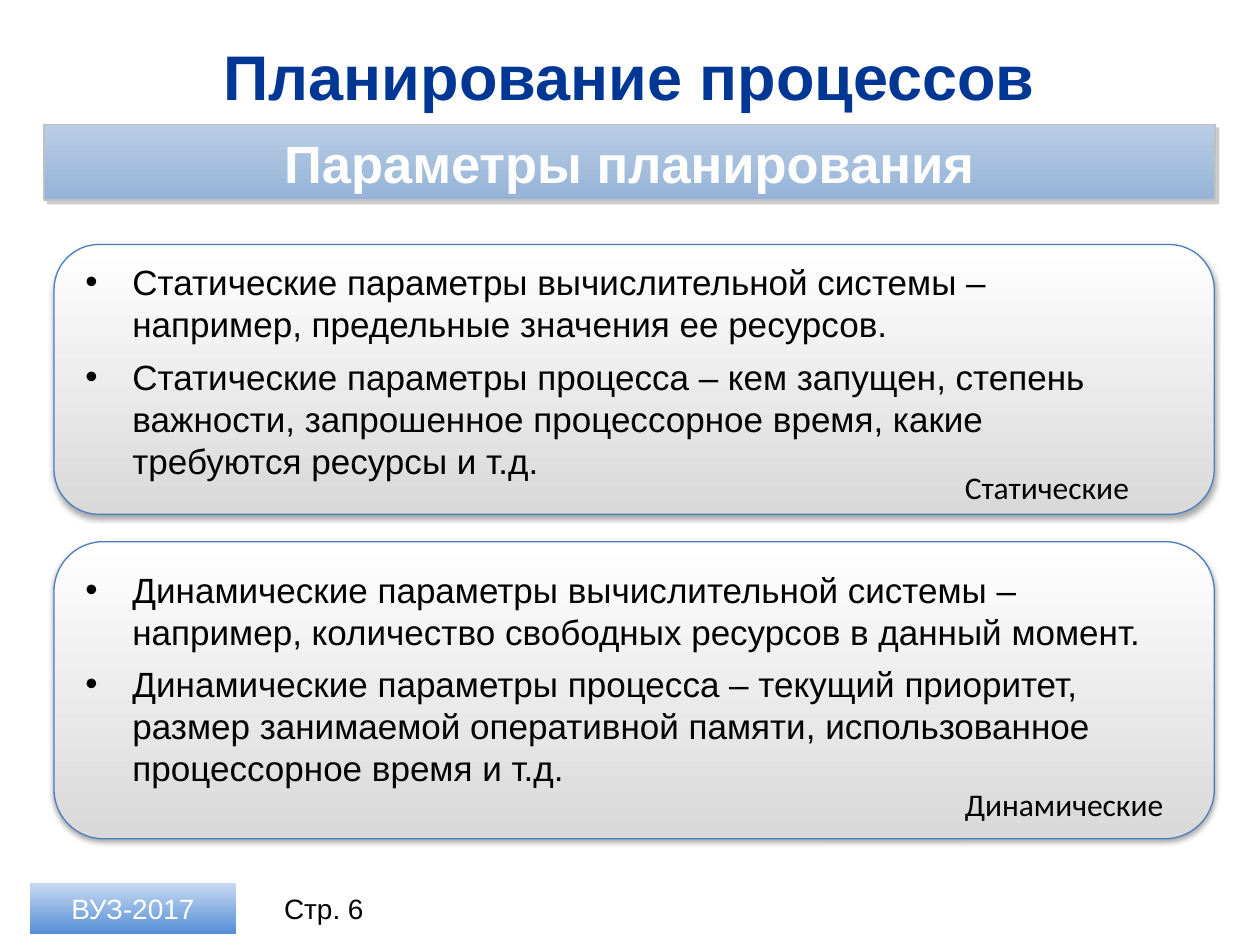
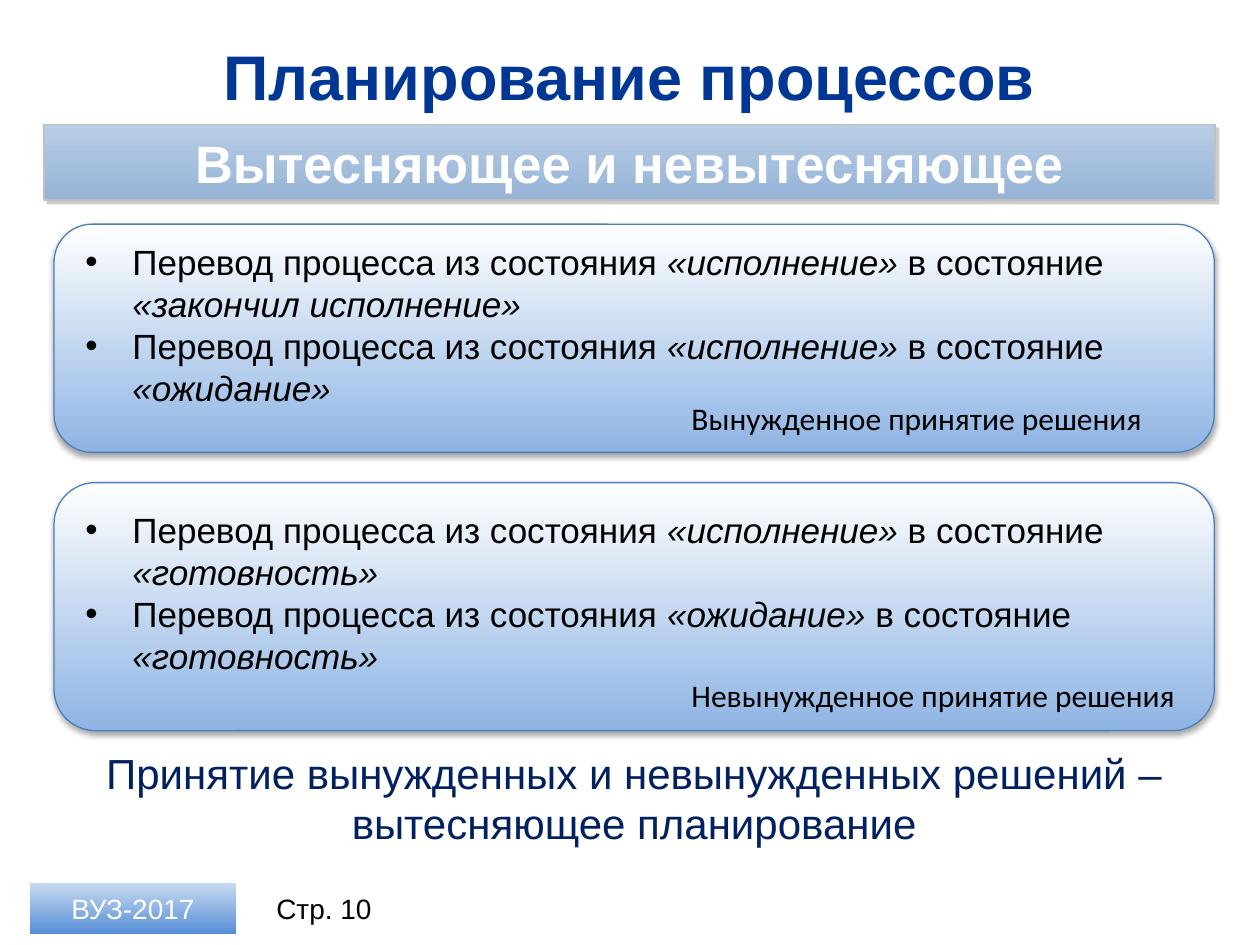
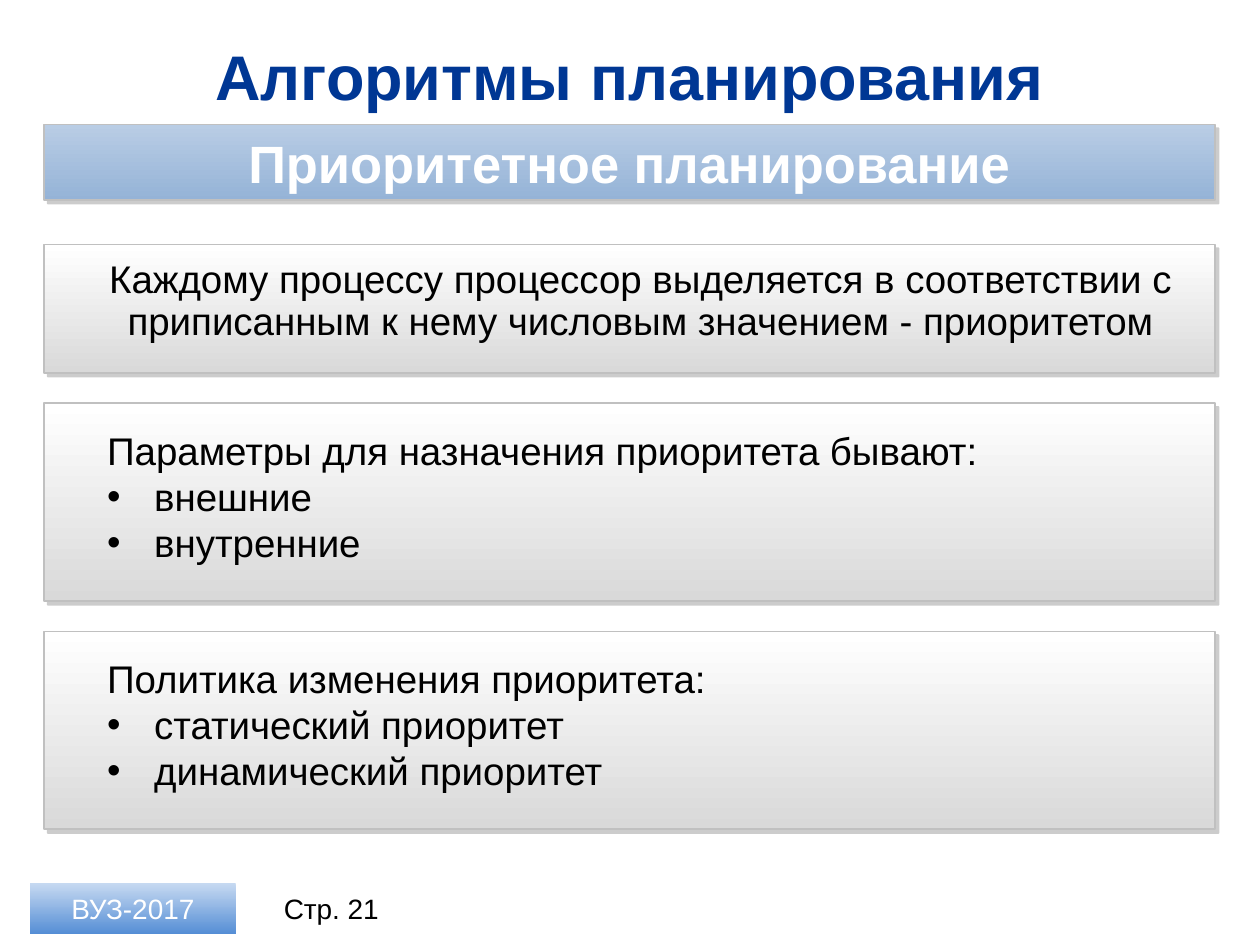
"""Build three slides on process scheduling."""
from dataclasses import dataclass
from typing import NamedTuple

from lxml import etree
from pptx import Presentation
from pptx.dml.color import RGBColor
from pptx.enum.shapes import MSO_SHAPE
from pptx.enum.text import MSO_ANCHOR, PP_ALIGN
from pptx.oxml.ns import qn
from pptx.util import Cm, Pt

RECTANGLE, ROUNDED = MSO_SHAPE.RECTANGLE, MSO_SHAPE.ROUNDED_RECTANGLE
TOP, MIDDLE = MSO_ANCHOR.TOP, MSO_ANCHOR.MIDDLE
LEFT, CENTER = PP_ALIGN.LEFT, PP_ALIGN.CENTER
BULLET = "• "
ITALIC_MARK = "|"


class Box(NamedTuple):
    left: float
    top: float
    width: float
    height: float

    def lengths(self) -> list[Cm]:
        return [Cm(value) for value in self]


class Shadow(NamedTuple):
    color: str
    opacity: int
    blur: float
    distance: float
    angle: int


@dataclass(frozen=True)
class Surface:
    shape: MSO_SHAPE
    upper: str
    lower: str
    line: str | None = None
    line_width: float = 1
    shadow: Shadow | None = None


@dataclass(frozen=True)
class Theme:
    body_font: str = "Arial"
    caption_font: str = "Calibri"
    title: str = "003794"
    conclusion: str = "002060"
    text: str = "000000"
    white: str = "FFFFFF"
    gray: str = "D9D9D9"
    blue: str = "8EB4E3"
    card_line: str = "4B7EBC"
    plate_line: str = "C0C0C0"
    title_size: int = 36
    band_size: int = 30
    conclusion_size: int = 24
    plate_size: int = 22
    card_size: int = 20
    caption_size: int = 18
    footer_size: int = 16
    card_shadow: Shadow = Shadow("000000", 35, 3.1, 1.8, 90)
    plate_shadow: Shadow = Shadow("808080", 40, 0, 3, 45)


THEME = Theme()
BAND = Surface(RECTANGLE, "B9CDE5", "95B3D7", THEME.plate_line, 1, THEME.plate_shadow)
PLATE = Surface(RECTANGLE, THEME.white, THEME.gray, THEME.plate_line, 1, THEME.plate_shadow)
GRAY_CARD = Surface(ROUNDED, THEME.white, THEME.gray, THEME.card_line, 0.75, THEME.card_shadow)
BLUE_CARD = Surface(ROUNDED, THEME.white, THEME.blue, THEME.card_line, 0.75, THEME.card_shadow)
BADGE = Surface(RECTANGLE, "C6D9F1", "558ED5")


@dataclass(frozen=True)
class Card:
    """A rounded card with a bulleted list and a caption in its lower right."""
    top: float
    height: float
    list_top: float
    list_width: float
    points: str
    caption: str
    caption_box: Box


@dataclass(frozen=True)
class Plate:
    """A rectangular plate with its text."""
    top: float
    height: float
    text: str
    text_box: Box
    align: PP_ALIGN = LEFT
    line_spacing: float | None = None


STATIC_AND_DYNAMIC = (
    Card(4.93, 5.44, 5.13, 21.79,
         "• Статические параметры вычислительной системы – например, предельные значения ее ресурсов.\n"
         "• Статические параметры процесса – кем запущен, степень важности, запрошенное процессорное "
         "время, какие требуются ресурсы и т.д.",
         "Статические", Box(19.2, 9.32, 3.99, 1.02)),
    Card(10.92, 5.99, 11.33, 22.43,
         "• Динамические параметры вычислительной системы – например, количество свободных ресурсов "
         "в данный момент.\n"
         "• Динамические параметры процесса – текущий приоритет, размер занимаемой оперативной памяти, "
         "использованное процессорное время и т.д.",
         "Динамические", Box(19.2, 15.7, 4.7, 1.02)),
)
DECISIONS = (
    Card(4.52, 4.6, 4.72, 21.79,
         "• Перевод процесса из состояния |«исполнение»| в состояние |«закончил исполнение»|\n"
         "• Перевод процесса из состояния |«исполнение»| в состояние |«ожидание»|",
         "Вынужденное принятие решения", Box(13.69, 7.92, 9.8, 1.02)),
    Card(9.73, 5, 10.13, 22.43,
         "• Перевод процесса из состояния |«исполнение»| в состояние |«готовность»|\n"
         "• Перевод процесса из состояния |«ожидание»| в состояние |«готовность»|",
         "Невынужденное принятие решения", Box(13.69, 13.51, 10.39, 1.02)),
)
PRIORITIES = (
    Plate(4.93, 2.59,
          "Каждому процессу процессор выделяется в соответствии с приписанным к нему "
          "числовым значением - приоритетом",
          Box(0.71, 5.13, 24.41, 1.96), CENTER, 0.9),
    Plate(8.13, 3.99,
          "Параметры для назначения приоритета бывают:\n• внешние\n• внутренние",
          Box(1.91, 8.48, 21.79, 3.07)),
    Plate(12.73, 3.99,
          "Политика изменения приоритета:\n• статический приоритет\n• динамический приоритет",
          Box(1.91, 13.08, 21.79, 3.07)),
)


def write(frame, text: str, *, size: int, color: str = THEME.text, font: str = THEME.body_font,
          bold: bool = False, align: PP_ALIGN = LEFT, anchor: MSO_ANCHOR = TOP,
          gap: float = 0, line_spacing: float | None = None) -> None:
    """Fill a frame; each line is a paragraph and marked parts are italic."""
    frame.word_wrap = True
    frame.vertical_anchor = anchor
    for index, line in enumerate(text.split("\n")):
        paragraph = frame.add_paragraph() if index else frame.paragraphs[0]
        paragraph.alignment = align
        if line_spacing:
            paragraph.line_spacing = line_spacing
        if index and gap:
            paragraph.space_before = Pt(gap)
        if line.startswith(BULLET):
            add_bullet(paragraph)
        for part_index, part in enumerate(line.removeprefix(BULLET).split(ITALIC_MARK)):
            if part:
                run = paragraph.add_run()
                run.text = part
                run.font.name, run.font.size = font, Pt(size)
                run.font.bold, run.font.italic = bold, part_index % 2 == 1
                run.font.color.rgb = RGBColor.from_string(color)


def add_bullet(paragraph) -> None:
    """Give a paragraph a round bullet with a hanging indent."""
    properties = paragraph._p.get_or_add_pPr()
    indent = Cm(0.95)
    properties.set("marL", str(indent))
    properties.set("indent", str(-indent))
    etree.SubElement(properties, qn("a:buFont"), typeface=THEME.body_font)
    etree.SubElement(properties, qn("a:buChar"), char=BULLET.strip())


def add_shadow(shape, shadow: Shadow) -> None:
    """Add an outer shadow to a shape."""
    effects = shape._element.spPr.find(qn("a:effectLst"))
    outer = etree.SubElement(effects, qn("a:outerShdw"), blurRad=str(Pt(shadow.blur)),
                             dist=str(Pt(shadow.distance)), dir=str(shadow.angle * 60000),
                             algn="ctr", rotWithShape="0")
    color = etree.SubElement(outer, qn("a:srgbClr"), val=shadow.color)
    etree.SubElement(color, qn("a:alpha"), val=str(shadow.opacity * 1000))


def add_surface(slide, box: Box, surface: Surface):
    """Draw a shape with a gradient that runs from top to bottom."""
    shape = slide.shapes.add_shape(surface.shape, *box.lengths())
    shape.fill.gradient()
    shape.fill.gradient_angle = 270
    for stop, color in zip(shape.fill.gradient_stops, (surface.upper, surface.lower)):
        stop.color.rgb = RGBColor.from_string(color)
    if surface.line:
        shape.line.color.rgb = RGBColor.from_string(surface.line)
        shape.line.width = Pt(surface.line_width)
    else:
        shape.line.fill.background()
    shape.shadow.inherit = False
    if surface.shadow:
        add_shadow(shape, surface.shadow)
    return shape


def add_label(slide, box: Box, text: str, **text_format) -> None:
    """Add a text box with formatted text."""
    write(slide.shapes.add_textbox(*box.lengths()).text_frame, text, **text_format)


def add_slide(deck, title: str, topic: str, page: int, page_left: float = 5.16):
    """Add a slide with its title, topic band and footer."""
    slide = deck.slides.add_slide(deck.slide_layouts[6])
    centered = {"align": CENTER, "anchor": MIDDLE}
    add_label(slide, Box(0.89, 0.66, 23.6, 1.73), title,
              size=THEME.title_size, color=THEME.title, bold=True, **centered)
    band = add_surface(slide, Box(0.89, 2.51, 23.6, 1.52), BAND)
    write(band.text_frame, topic, size=THEME.band_size, color=THEME.white, bold=True, **centered)
    badge = add_surface(slide, Box(0.61, 17.81, 4.14, 1.02), BADGE)
    write(badge.text_frame, "ВУЗ-2017", size=THEME.footer_size, color=THEME.white, **centered)
    add_label(slide, Box(page_left, 17.81, 2.74, 1.02), f"Стр. {page}",
              size=THEME.footer_size, **centered)
    return slide


def add_card(slide, card: Card, surface: Surface, gap: float = 0) -> None:
    """Draw a card with its list and caption."""
    add_surface(slide, Box(1.09, card.top, 23.39, card.height), surface)
    add_label(slide, Box(1.47, card.list_top, card.list_width, card.height - 0.9), card.points,
              size=THEME.card_size, gap=gap)
    add_label(slide, card.caption_box, card.caption,
              size=THEME.caption_size, font=THEME.caption_font)


def add_plate(slide, plate: Plate) -> None:
    """Draw a plate with its text."""
    add_surface(slide, Box(0.89, plate.top, 23.6, plate.height), PLATE)
    add_label(slide, plate.text_box, plate.text, size=THEME.plate_size,
              align=plate.align, line_spacing=plate.line_spacing)


def main() -> None:
    """Build the slides and save them."""
    deck = Presentation()
    deck.slide_width, deck.slide_height = Cm(25.4), Cm(19.05)

    parameters = add_slide(deck, "Планирование процессов", "Параметры планирования", 6)
    for card in STATIC_AND_DYNAMIC:
        add_card(parameters, card, GRAY_CARD, gap=6)

    preemption = add_slide(deck, "Планирование процессов", "Вытесняющее и невытесняющее", 10)
    for card in DECISIONS:
        add_card(preemption, card, BLUE_CARD)
    add_label(preemption, Box(1.09, 14.94, 23.39, 2.31),
              "Принятие вынужденных и невынужденных решений – вытесняющее планирование",
              size=THEME.conclusion_size, color=THEME.conclusion, align=CENTER)

    priority = add_slide(deck, "Алгоритмы планирования", "Приоритетное планирование", 21, 5.31)
    for plate in PRIORITIES:
        add_plate(priority, plate)

    deck.save("out.pptx")


if __name__ == "__main__":
    main()
